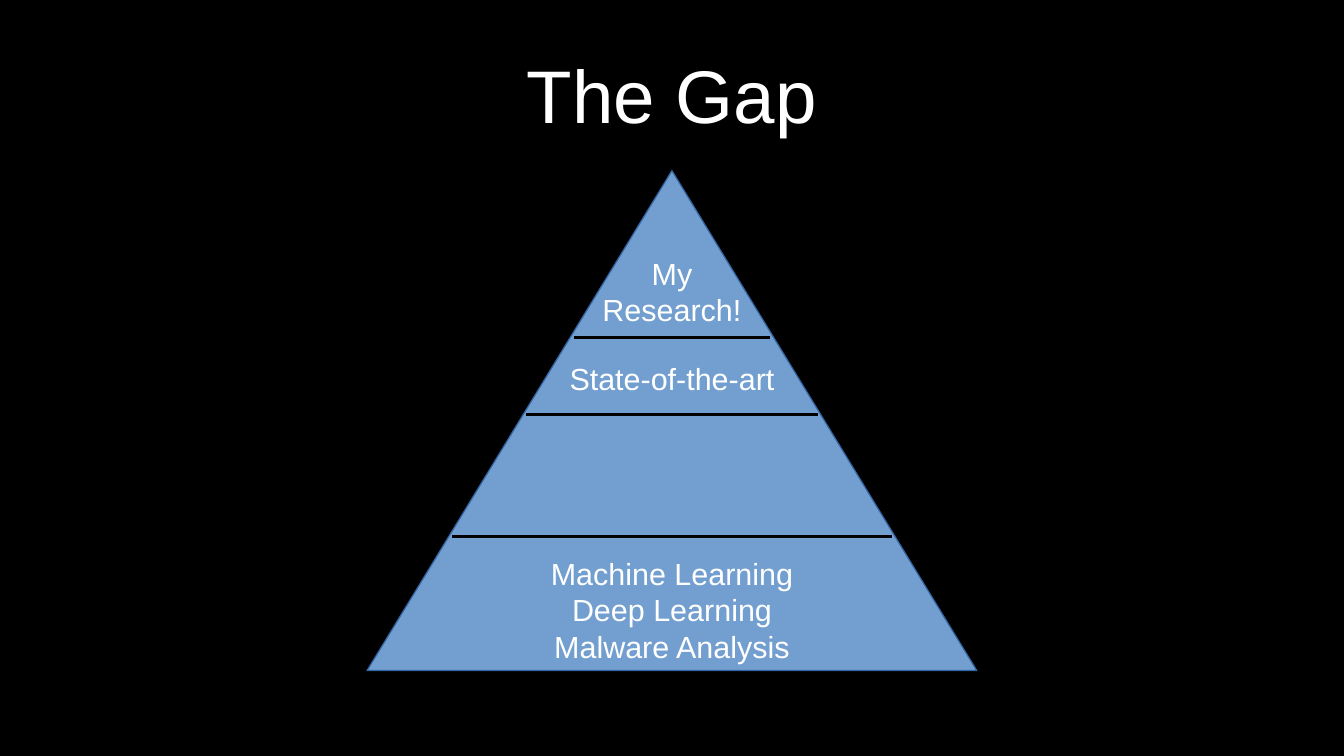
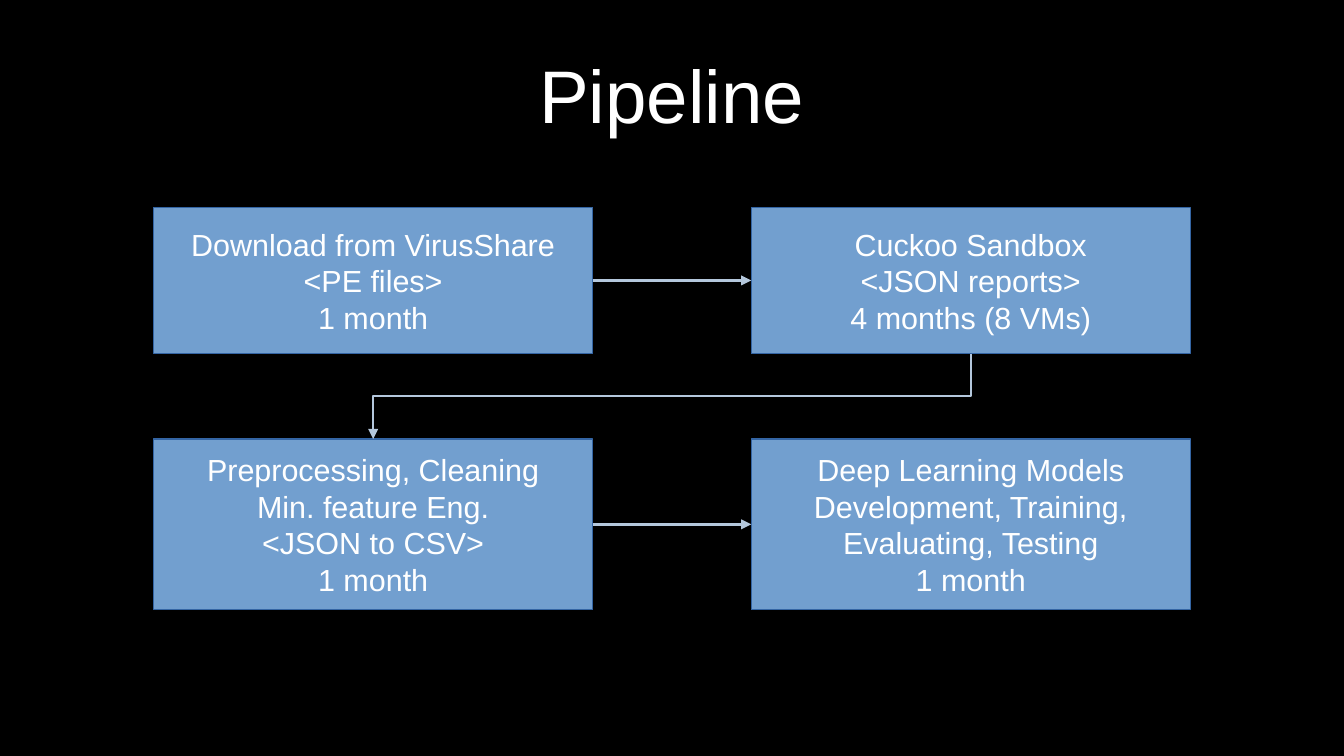
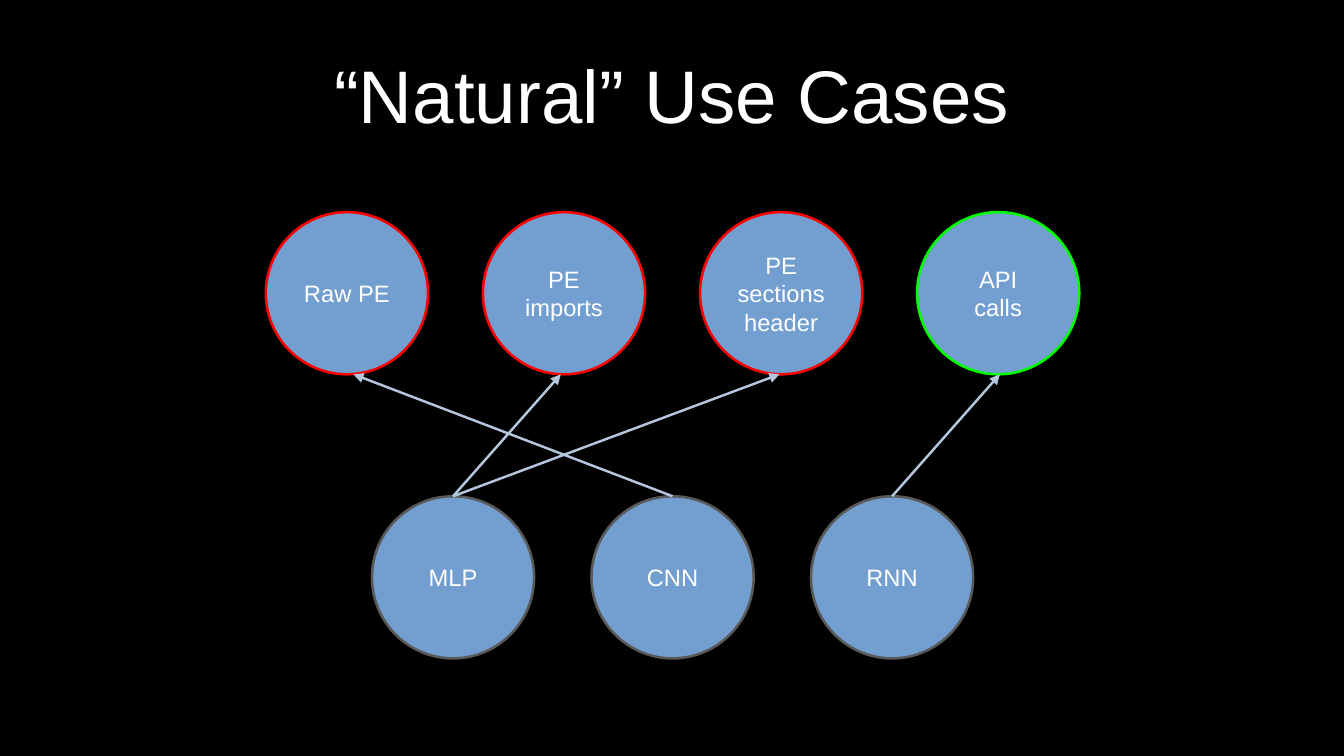
from dataclasses import dataclass
from lxml.etree import SubElement
from pptx import Presentation
from pptx.dml.color import RGBColor as Color
from pptx.enum.shapes import MSO_CONNECTOR as Link, MSO_SHAPE as Form
from pptx.enum.text import MSO_ANCHOR as Anchor, PP_ALIGN as Align
from pptx.oxml.ns import qn
from pptx.util import Inches, Pt

UNIT = 0.1


@dataclass(frozen=True)
class Theme:
    """Colours and type sizes of the deck."""
    back: str = "000000"
    ink: str = "FFFFFF"
    fill: str = "729FCF"
    edge: str = "3465A4"
    arrow: str = "B4C7DC"
    rule: str = "000000"
    bad: str = "FF0000"
    good: str = "00FF00"
    model: str = "595959"
    font: str = "Arial"
    title: int = 44
    body: int = 18
    small: int = 14
    line: float = 1.45
    ring: float = 1.5


@dataclass(frozen=True)
class Box:
    """A rectangle in inches."""
    x: float
    y: float
    w: float
    h: float

    def cut(self, col, row, cols, rows):
        """Return a part, given in grid units from the top left."""
        return Box(self.x + col * UNIT, self.y + row * UNIT, cols * UNIT, rows * UNIT)

    def at(self, across, down):
        """Return a point, given as shares of the box."""
        return self.x + self.w * across, self.y + self.h * down

    def place(self):
        """Return the sides as lengths."""
        return [Inches(side) for side in (self.x, self.y, self.w, self.h)]


THEME = Theme()
PAGE = Box(0, 0, 11.02, 6.2)
HEAD = Box(0.55, 0.25, 9.92, 1.04)


def write(shape, lines, size, pad=(0.1, 0.05), anchor=Anchor.MIDDLE, wrap=False):
    """Fill a shape with centred lines."""
    frame = shape.text_frame
    side, edge = map(Inches, pad)
    look = {"margin_left": side, "margin_right": side, "margin_top": edge,
            "margin_bottom": edge, "vertical_anchor": anchor, "word_wrap": wrap}
    for name, value in look.items():
        setattr(frame, name, value)
    frame.text = "\n".join(lines)
    for para in frame.paragraphs:
        para.alignment = Align.CENTER
        for name, value in {"name": THEME.font, "size": Pt(size)}.items():
            setattr(para.font, name, value)
        para.font.color.rgb = Color.from_string(THEME.ink)


def label(slide, box, lines, size, **look):
    """Add a text box."""
    write(slide.shapes.add_textbox(*box.place()), lines, size, **look)


def solid(slide, form, box, edge=THEME.edge, width=0):
    """Add a filled shape with an outline."""
    shape = slide.shapes.add_shape(form, *box.place())
    shape.shadow.inherit = False
    shape.fill.solid()
    shape.fill.fore_color.rgb = Color.from_string(THEME.fill)
    shape.line.color.rgb = Color.from_string(edge)
    shape.line.width = Pt(width)
    return shape


def stroke(slide, start, end, tint=THEME.arrow, head=True, kind=Link.STRAIGHT):
    """Add a line, with an arrowhead if asked."""
    line = slide.shapes.add_connector(kind, *map(Inches, start + end))
    line.line.color.rgb = Color.from_string(tint)
    line.line.width = Pt(THEME.line)
    if head:
        SubElement(line.line._get_or_add_ln(), qn("a:tailEnd"), type="triangle")
    SubElement(line.element.spPr, qn("a:effectLst"))
    return line


def drop(slide, upper, lower, start, end):
    """Join a bottom side to a top side with an elbow arrow."""
    line = stroke(slide, start, end, kind=Link.ELBOW)
    line.begin_connect(upper, 2)
    line.end_connect(lower, 0)
    wide, high = abs(end[0] - start[0]), end[1] - start[1]
    midx, midy = (start[0] + end[0]) / 2, (start[1] + end[1]) / 2
    turned = Box(midx - high / 2, midy - wide / 2, high, wide)
    for name, value in zip(("left", "top", "width", "height"), turned.place()):
        setattr(line, name, value)
    for name, value in {"rot": 90, "flipH": False, "flipV": False}.items():
        setattr(line.element.spPr.xfrm, name, value)


def pyramid(slide, box):
    """Draw the layered triangle."""
    solid(slide, Form.ISOSCELES_TRIANGLE, box)
    mid = box.w / UNIT / 2
    for row, wide, lines in (
        (31, 21.9, ("Machine Learning", "Deep Learning", "Malware Analysis")),
        (6.4, 13.4, ("My", "Research!")),
        (15, 18.8, ("State-of-the-art",)),
    ):
        part = box.cut(mid - wide / 2, row, wide, 1 + 2.8 * len(lines))
        label(slide, part, lines, THEME.body, anchor=Anchor.TOP)
    for row, wide in ((13.7, 16), (20, 24), (30, 36)):
        rule = box.cut(mid - wide / 2, row, wide, 0)
        stroke(slide, rule.at(0, 0), rule.at(1, 0), THEME.rule, False)


def pipeline(slide, box):
    """Draw two rows of steps joined by arrows."""
    rows = (
        (0, 12, (("Download from VirusShare", "<PE files>", "1 month"),
                 ("Cuckoo Sandbox", "<JSON reports>", "4 months (8 VMs)"))),
        (19, 14, (("Preprocessing, Cleaning", "Min. feature Eng.", "<JSON to CSV>", "1 month"),
                  ("Deep Learning Models", "Development, Training,", "Evaluating, Testing",
                   "1 month"))),
    )
    steps = []
    for row, high, texts in rows:
        for col, lines in zip((0, 49), texts):
            part = box.cut(col, row, 36, high)
            card = solid(slide, Form.RECTANGLE, part)
            write(card, lines, THEME.body)
            steps.append((card, part))
    for left, right in (steps[:2], steps[2:]):
        line = stroke(slide, left[1].at(1, 0.5), right[1].at(0, 0.5))
        line.begin_connect(left[0], 3)
        line.end_connect(right[0], 1)
    (upper, high), (lower, low) = steps[1:3]
    drop(slide, upper, lower, high.at(0.5, 1), low.at(0.5, 0))


def discs(slide, box, row, pitch, items):
    """Draw a centred row of circles and return them by name."""
    size = 13.3
    first = (box.w / UNIT - size - pitch * (len(items) - 1)) / 2
    made = {}
    for num, (text, edge) in enumerate(items):
        part = box.cut(first + num * pitch, row, size, size)
        disc = solid(slide, Form.OVAL, part, edge, THEME.ring)
        write(disc, (text,), THEME.small, pad=(0.1, 0.1), wrap=True)
        made[text] = disc, part
    return made


def cases(slide, box):
    """Draw models pointing at the inputs that suit them."""
    inputs = discs(slide, box, 0, 17.8, (
        ("Raw PE", THEME.bad), ("PE imports", THEME.bad),
        ("PE sections header", THEME.bad), ("API calls", THEME.good)))
    models = discs(slide, box, 23.3, 18,
                   [(name, THEME.model) for name in ("MLP", "CNN", "RNN")])
    for model, target, share in (
        ("MLP", "PE imports", 0.48), ("MLP", "PE sections header", 0.49),
        ("CNN", "Raw PE", 0.54), ("RNN", "API calls", 0.51),
    ):
        disc, part = models[model]
        line = stroke(slide, part.at(0.5, 0), inputs[target][1].at(share, 1))
        line.begin_connect(disc, 0)


def main():
    """Build and save the deck."""
    deck = Presentation()
    deck.slide_width, deck.slide_height = PAGE.place()[2:]
    back = deck.slide_master.background.fill
    back.solid()
    back.fore_color.rgb = Color.from_string(THEME.back)
    for title, draw, box in (
        ("The Gap", pyramid, Box(3.01, 1.4, 5, 4.1)),
        ("Pipeline", pipeline, Box(1.26, 1.7, 8.5, 3.3)),
        ("“Natural” Use Cases", cases, Box(2.18, 1.74, 6.67, 3.66)),
    ):
        slide = deck.slides.add_slide(deck.slide_layouts[6])
        label(slide, HEAD, (title,), THEME.title, pad=(0, 0), wrap=True)
        draw(slide, box)
    deck.save("out.pptx")


if __name__ == "__main__":
    main()
